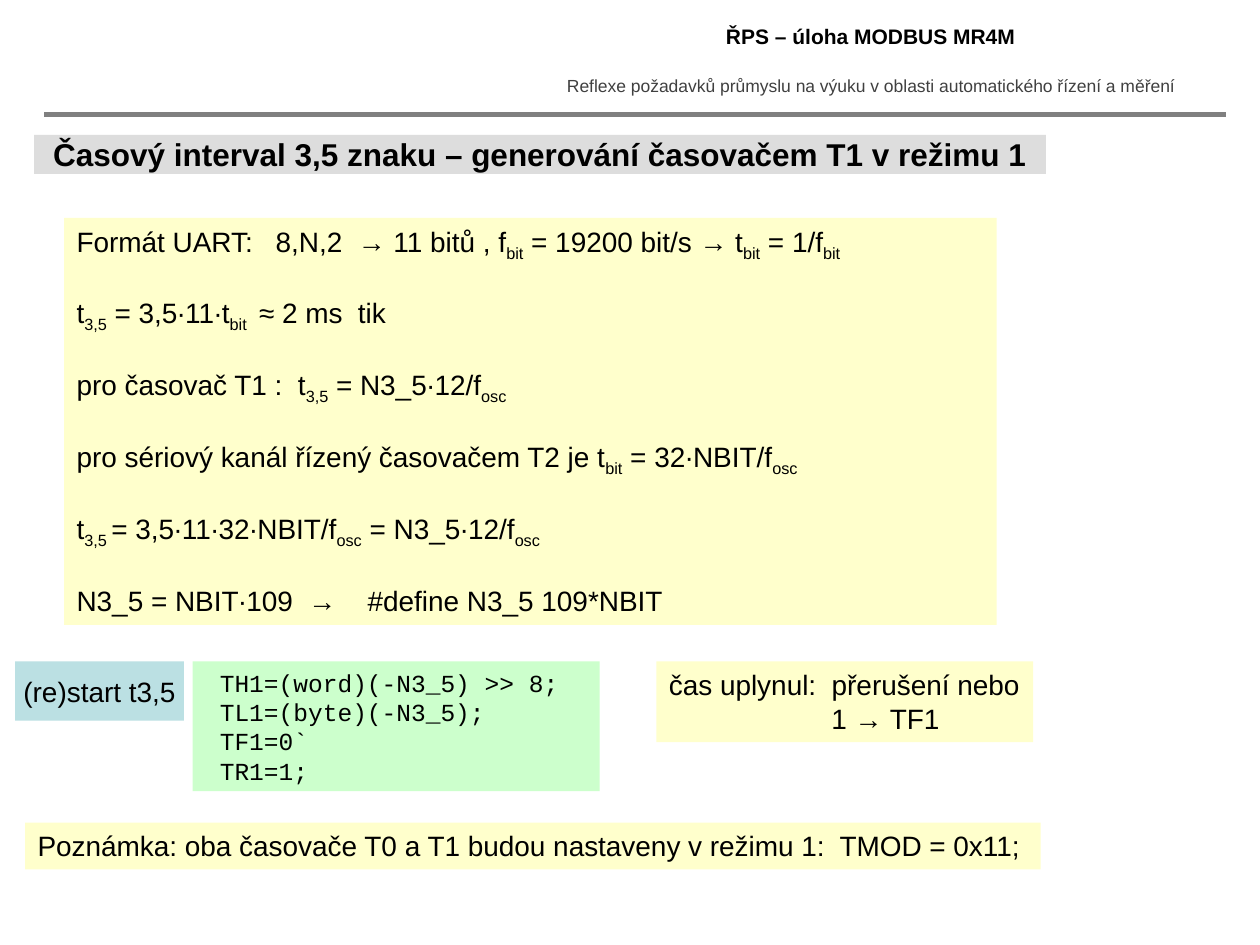
from lxml.etree import SubElement
from pptx import Presentation
from pptx.dml.color import RGBColor
from pptx.enum.shapes import MSO_CONNECTOR, MSO_SHAPE
from pptx.enum.text import MSO_ANCHOR, MSO_AUTO_SIZE, PP_ALIGN
from pptx.oxml.ns import qn
from pptx.util import Inches, Pt

BLACK = RGBColor(0x00, 0x00, 0x00)
DARK_GREY = RGBColor(0x40, 0x40, 0x40)
RULE_GREY = RGBColor(0x80, 0x80, 0x80)
TITLE_GREY = RGBColor(0xDD, 0xDD, 0xDD)
YELLOW = RGBColor(0xFF, 0xFF, 0xCC)
GREEN = RGBColor(0xCC, 0xFF, 0xCC)
BLUE = RGBColor(0xBB, 0xE0, 0xE3)

FORMULAS = [
    "Formát UART:\t8,N,2  → 11 bitů , f[bit] = 19200 bit/s → t[bit] = 1/f[bit]",
    "t[3,5] = 3,5∙11∙t[bit ] ≈ 2 ms  tik",
    "pro časovač T1 :  t[3,5] = N3_5∙12/f[osc]",
    "pro sériový kanál řízený časovačem T2 je t[bit] = 32∙NBIT/f[osc]",
    "t[3,5 ]= 3,5∙11∙32∙NBIT/f[osc] = N3_5∙12/f[osc]",
    "N3_5 = NBIT∙109  →\t#define N3_5 109*NBIT",
]
FORMULA_TABS = [1.58, 2.31]
TIMER_CODE = [
    " TH1=(word)(-N3_5) >> 8;",
    " TL1=(byte)(-N3_5);",
    " TF1=0`",
    " TR1=1;",
]


def add_tabs(paragraph, tabs):
    stops = SubElement(paragraph._p.get_or_add_pPr(), qn("a:tabLst"))
    for stop in tabs:
        SubElement(stops, qn("a:tab"), pos=str(int(Inches(stop))), algn="l")


def write(shape, lines, size=16, font="Arial", color=BLACK, bold=False,
          centered=False, middle=False, gap=0, tabs=(), later_indent=0):
    """Fill a shape with lines; [text] in brackets is set as a subscript."""
    frame = shape.text_frame
    frame.word_wrap = True
    frame.auto_size = MSO_AUTO_SIZE.NONE
    frame.vertical_anchor = MSO_ANCHOR.MIDDLE if middle else MSO_ANCHOR.TOP
    frame.margin_left = 0 if centered else Inches(0.1)
    frame.margin_right = 0
    frame.margin_top = frame.margin_bottom = Inches(0.05)
    for number, line in enumerate(lines):
        paragraph = frame.add_paragraph() if number else frame.paragraphs[0]
        if tabs:
            add_tabs(paragraph, tabs)
        if number and later_indent:
            paragraph._p.get_or_add_pPr().set(
                "marL", str(int(Inches(later_indent))))
        paragraph.alignment = PP_ALIGN.CENTER if centered else PP_ALIGN.LEFT
        paragraph.space_before = Pt(gap if number else 0)
        paragraph.font.size = Pt(size)
        paragraph.font.name = font
        paragraph.font.bold = bold
        paragraph.font.color.rgb = color
        for part, text in enumerate(line.replace("]", "[").split("[")):
            if text:
                run = paragraph.add_run()
                run.text = text
                if part % 2:
                    run._r.get_or_add_rPr().set("baseline", "-25000")


def paint(shape, fill):
    shape.fill.solid()
    shape.fill.fore_color.rgb = fill


def add_panel(slide, box, fill, lines, **style):
    panel = slide.shapes.add_shape(MSO_SHAPE.RECTANGLE, *map(Inches, box))
    panel.shadow.inherit = False
    panel.line.fill.background()
    paint(panel, fill)
    write(panel, lines, **style)


def add_header(slide, box):
    """Course name, project name and the rule below them."""
    left, top, width, height = box
    names = [
        (0, 0.31, "ŘPS – úloha MODBUS MR4M", dict(size=12, bold=True)),
        (0.41, 0.27, "Reflexe požadavků průmyslu na výuku v oblasti "
         "automatického řízení a měření", dict(size=10, color=DARK_GREY)),
    ]
    for offset, depth, text, style in names:
        label = slide.shapes.add_textbox(
            *map(Inches, (left, top + offset, width, depth)))
        write(label, [text], centered=True, **style)
    rule_y = Inches(top + height)
    rule = slide.shapes.add_connector(
        MSO_CONNECTOR.STRAIGHT, Inches(0.35), rule_y, Inches(9.73), rule_y)
    rule.line.color.rgb = RULE_GREY
    rule.line.width = Pt(3)
    SubElement(rule._element.spPr, qn("a:effectLst"))


def add_title(slide, box):
    title = slide.shapes.title
    title.left, title.top, title.width, title.height = map(Inches, box)
    paint(title, TITLE_GREY)
    write(title, ["Časový interval 3,5 znaku – generování časovačem T1 v režimu 1"],
          size=18, bold=True, centered=True, middle=True)


def add_timer_row(slide, box):
    """Start label, timer code and time-out result, side by side."""
    left, top, width, height = box
    add_panel(slide, (left, top, 1.34, 0.47), BLUE, ["(re)start t3,5"],
              centered=True, middle=True)
    add_panel(slide, (left + 1.41, top, 3.23, height), GREEN, TIMER_CODE,
              size=14, font="Courier New")
    add_panel(slide, (left + width - 2.99, top, 2.99, 0.64), YELLOW,
              ["čas uplynul:  přerušení nebo", "1 → TF1"], later_indent=1.29)


def main():
    deck = Presentation()
    deck.slide_width, deck.slide_height = Inches(10), Inches(7.5)
    slide = deck.slides.add_slide(deck.slide_layouts[5])
    add_header(slide, (4.3, 0.14, 5.22, 0.77))
    add_title(slide, (0.27, 1.07, 8.03, 0.31))
    # Derivation of the timer constant
    add_panel(slide, (0.51, 1.73, 7.4, 3.23), YELLOW, FORMULAS,
              gap=19.2, tabs=FORMULA_TABS)
    add_timer_row(slide, (0.12, 5.25, 8.08, 1.03))
    # Closing note
    add_panel(slide, (0.2, 6.53, 8.06, 0.37), YELLOW,
              ["Poznámka: oba časovače T0 a T1 budou nastaveny v režimu 1:  "
               "TMOD = 0x11;"])
    deck.save("out.pptx")


if __name__ == "__main__":
    main()
